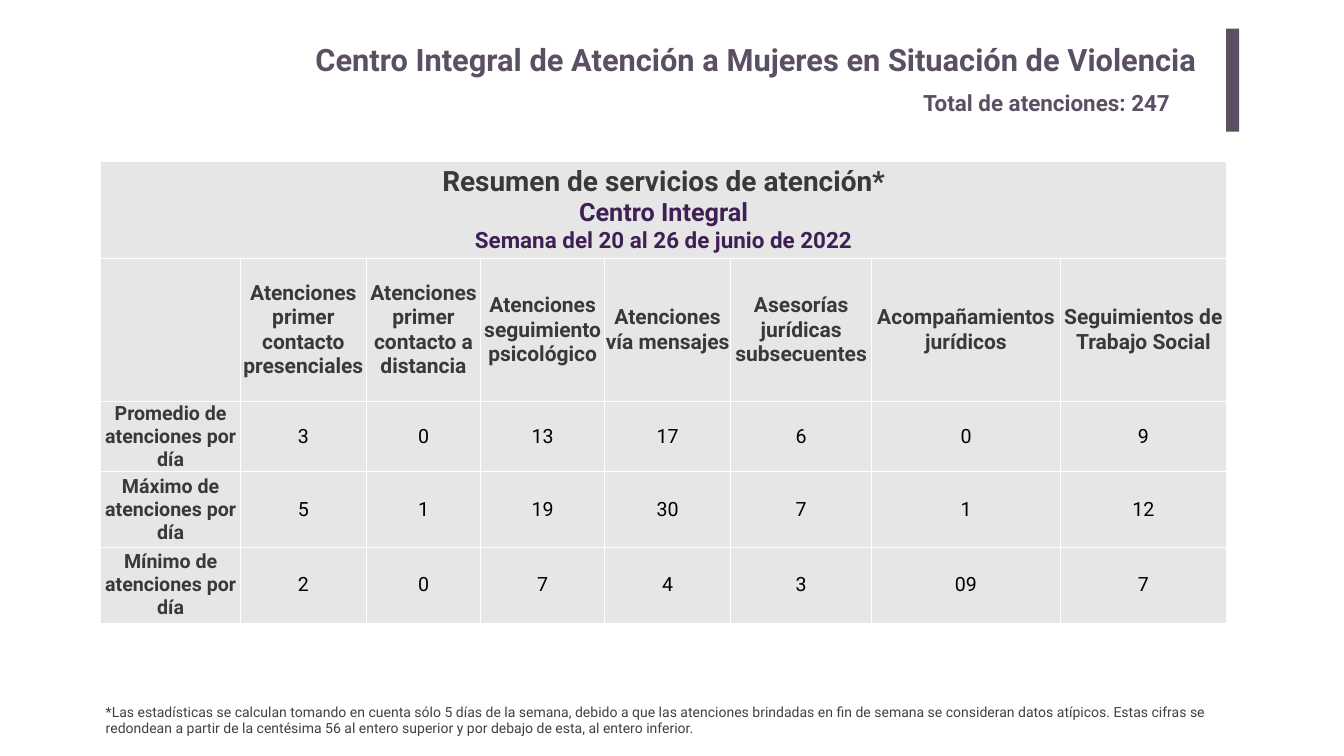
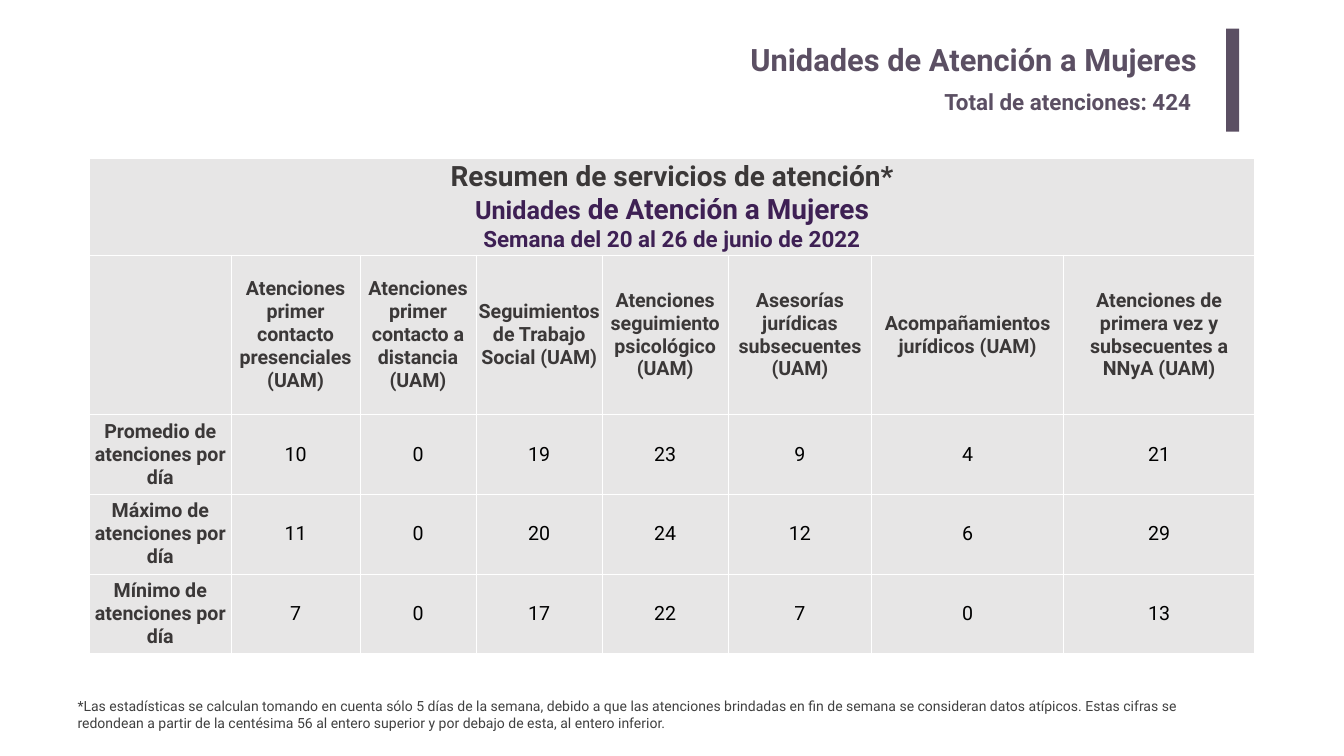
import pptx
import pptx.dml.color
import pptx.enum.shapes
import pptx.enum.text
import pptx.oxml
import pptx.oxml.ns
import pptx.util

Inches = pptx.util.Inches
Align = pptx.enum.text.PP_ALIGN
Anchor = pptx.enum.text.MSO_ANCHOR

FONT = "Roboto"
PLUM, PURPLE = "5B4F63", "3E2054"
DARK, GRAY, PALE = "3B3838", "404040", "E7E6E6"
BLACK, WHITE = "000000", "FFFFFF"

WEEK = "Semana del 20 al 26 de junio de 2022"
ROWS = [f"{kind} de atenciones por día"
        for kind in ("Promedio", "Máximo", "Mínimo")]
NOTE = ("*Las estadísticas se calculan tomando en cuenta sólo 5 días de la "
        "semana, debido a que las atenciones brindadas en fin de semana se "
        "consideran datos atípicos. Estas cifras se redondean a partir de la "
        "centésima 56 al entero superior y por debajo de esta, al entero "
        "inferior.")

CENTER = dict(
    title="Centro Integral de Atención a Mujeres en Situación de Violencia",
    total="Total de atenciones: 247",
    total_at=(18.22, 1.71, 5.92, 0.64),
    unit=[("Centro Integral", 36)],
    heads=["Atenciones primer contacto presenciales",
           "Atenciones primer contacto a distancia",
           "Atenciones seguimiento psicológico",
           "Atenciones vía mensajes",
           "Asesorías jurídicas subsecuentes",
           "Acompañamientos jurídicos",
           "Seguimientos de Trabajo Social"],
    head_size=30,
    data=[["3", "0", "13", "17", "6", "0", "9"],
          ["5", "1", "19", "30", "7", "1", "12"],
          ["2", "0", "7", "4", "3", "09", "7"]],
    corner=(2, 3.21),
    widths=[2.77, 2.5, 2.27, 2.46, 2.5, 2.8, 3.74, 3.3],
    heights=[1.92, 2.83, 1.19, 1.5, 1.5],
    note_at=(2, 13.9, 22.33, 0.77),
)

UNITS = dict(
    title="Unidades de Atención a Mujeres",
    total="Total de atenciones: 424",
    total_at=(18.64, 1.69, 5.38, 0.64),
    unit=[("Unidades", 36), (" de Atención a Mujeres", 40)],
    heads=[f"{head} (UAM)" for head in (
        "Atenciones primer contacto presenciales",
        "Atenciones primer contacto a distancia",
        "Seguimientos de Trabajo Social",
        "Atenciones seguimiento psicológico",
        "Asesorías jurídicas subsecuentes",
        "Acompañamientos jurídicos",
        "Atenciones de primera vez y subsecuentes a NNyA")],
    head_size=28,
    data=[["10", "0", "19", "23", "9", "4", "21"],
          ["11", "0", "20", "24", "12", "6", "29"],
          ["7", "0", "17", "22", "7", "0", "13"]],
    corner=(1.77, 3.15),
    widths=[2.82, 2.55, 2.31, 2.5, 2.5, 2.85, 3.8, 3.8],
    heights=[1.91, 3.17, 1.58, 1.58, 1.58],
    note_at=(1.44, 13.79, 22.77, 0.77),
)


def color(code):
    return pptx.dml.color.RGBColor.from_string(code)


def write(para, text, size=28, ink=DARK, bold=True, align=Align.CENTER):
    """Add a formatted run to a paragraph."""
    para.alignment = align
    run = para.add_run()
    run.text = text
    font = run.font
    font.name, font.size, font.bold = FONT, pptx.util.Pt(size), bold
    font.color.rgb = color(ink)


def place(shape, at):
    shape.left, shape.top, shape.width, shape.height = map(Inches, at)


def add_text(slide, at, text, **style):
    frame = slide.shapes.add_textbox(*map(Inches, at)).text_frame
    frame.word_wrap = True
    write(frame.paragraphs[0], text, align=Align.LEFT, **style)


def add_title(slide, text):
    title = slide.shapes.title
    place(title, (3.66, 0.67, 20.3, 1.02))
    frame = title.text_frame
    frame.auto_size = pptx.enum.text.MSO_AUTO_SIZE.NONE
    frame.word_wrap = True
    frame.vertical_anchor = Anchor.MIDDLE
    frame.margin_left = frame.margin_right = Inches(0.2)
    frame.margin_top = frame.margin_bottom = Inches(0.1)
    write(frame.paragraphs[0], text, size=44, ink=PLUM, align=Align.RIGHT)


def add_bar(slide):
    bar = slide.shapes.add_shape(
        pptx.enum.shapes.MSO_SHAPE.RECTANGLE,
        *map(Inches, (24.33, 0.57, 0.26, 2.04)))
    bar.shadow.inherit = False
    bar.fill.solid()
    bar.fill.fore_color.rgb = color(PLUM)
    bar.line.fill.background()


def style_cell(cell):
    """Give a cell no margins, a pale fill and thin white borders."""
    cell.margin_left = cell.margin_right = 0
    cell.margin_top = cell.margin_bottom = 0
    cell.vertical_anchor = Anchor.MIDDLE
    cell.fill.solid()
    cell.fill.fore_color.rgb = color(PALE)
    props = cell._tc.get_or_add_tcPr()
    space = pptx.oxml.ns.nsdecls("a")
    for spot, side in enumerate("LRTB"):
        props.insert(spot, pptx.oxml.parse_xml(
            f'<a:ln{side} {space} w="12700"><a:solidFill>'
            f'<a:srgbClr val="{WHITE}"/></a:solidFill></a:ln{side}>'))


def fill_head(cell, unit):
    frame = cell.text_frame
    write(frame.paragraphs[0], "Resumen de servicios de atención*", size=40)
    para = frame.add_paragraph()
    for text, size in unit:
        write(para, text, size=size, ink=PURPLE)
    write(frame.add_paragraph(), WEEK, size=32, ink=PURPLE)


def add_grid(slide, page):
    widths, heights = page["widths"], page["heights"]
    size = sum(widths), sum(heights)
    grid = slide.shapes.add_table(
        len(heights), len(widths),
        *map(Inches, page["corner"] + size)).table
    grid.horz_banding = False
    for col, width in zip(grid.columns, widths):
        col.width = Inches(width)
    for row, height in zip(grid.rows, heights):
        row.height = Inches(height)
    for cell in grid.iter_cells():
        style_cell(cell)

    grid.cell(0, 0).merge(grid.cell(0, len(widths) - 1))
    fill_head(grid.cell(0, 0), page["unit"])
    for col, head in enumerate(page["heads"], 1):
        para = grid.cell(1, col).text_frame.paragraphs[0]
        write(para, head, size=page["head_size"])
    for row, (label, values) in enumerate(zip(ROWS, page["data"]), 2):
        write(grid.cell(row, 0).text_frame.paragraphs[0], label)
        for col, value in enumerate(values, 1):
            para = grid.cell(row, col).text_frame.paragraphs[0]
            write(para, value, ink=BLACK, bold=False)


def add_page(deck, page):
    slide = deck.slides.add_slide(deck.slide_layouts[5])
    add_title(slide, page["title"])
    add_bar(slide)
    add_text(slide, page["total_at"], page["total"], size=32, ink=PLUM)
    add_grid(slide, page)
    add_text(slide, page["note_at"], NOTE, size=20, ink=GRAY, bold=False)


def main():
    deck = pptx.Presentation()
    deck.slide_width, deck.slide_height = Inches(26.67), Inches(15)
    for page in (CENTER, UNITS):
        add_page(deck, page)
    deck.save("out.pptx")


if __name__ == "__main__":
    main()
